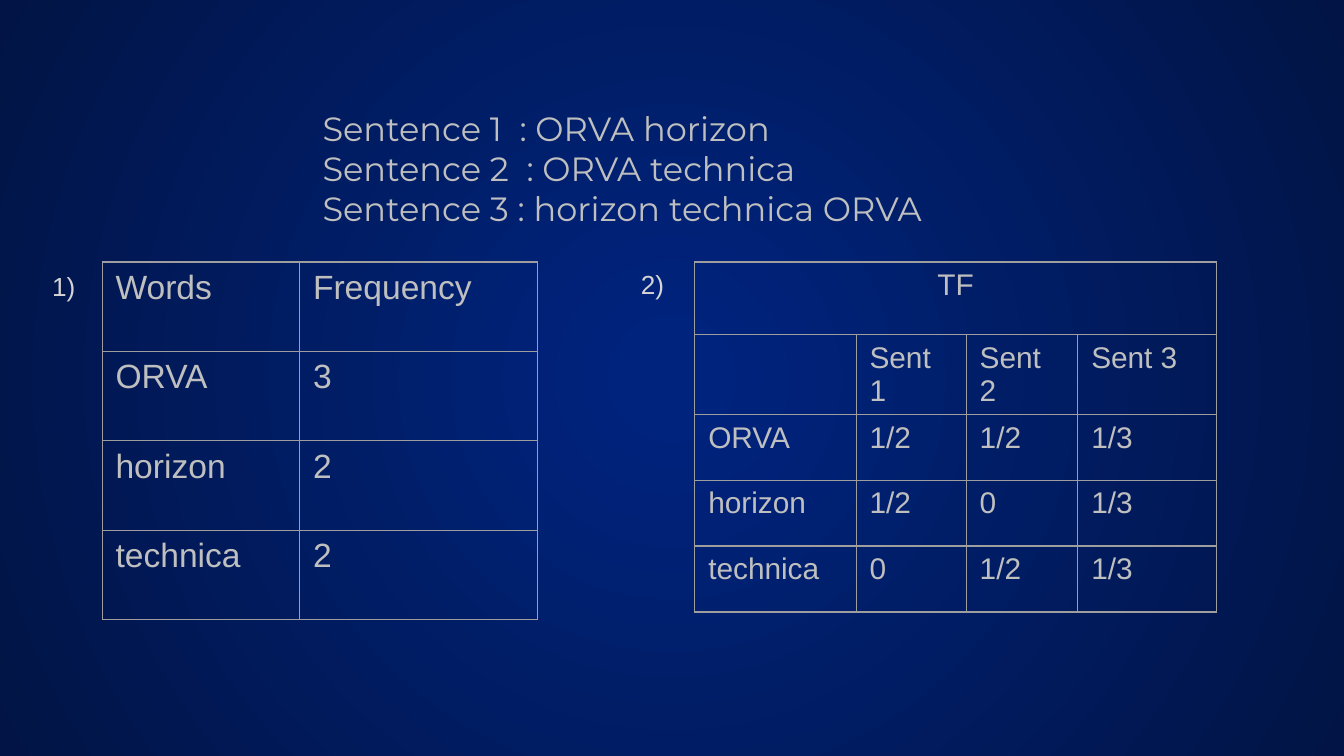
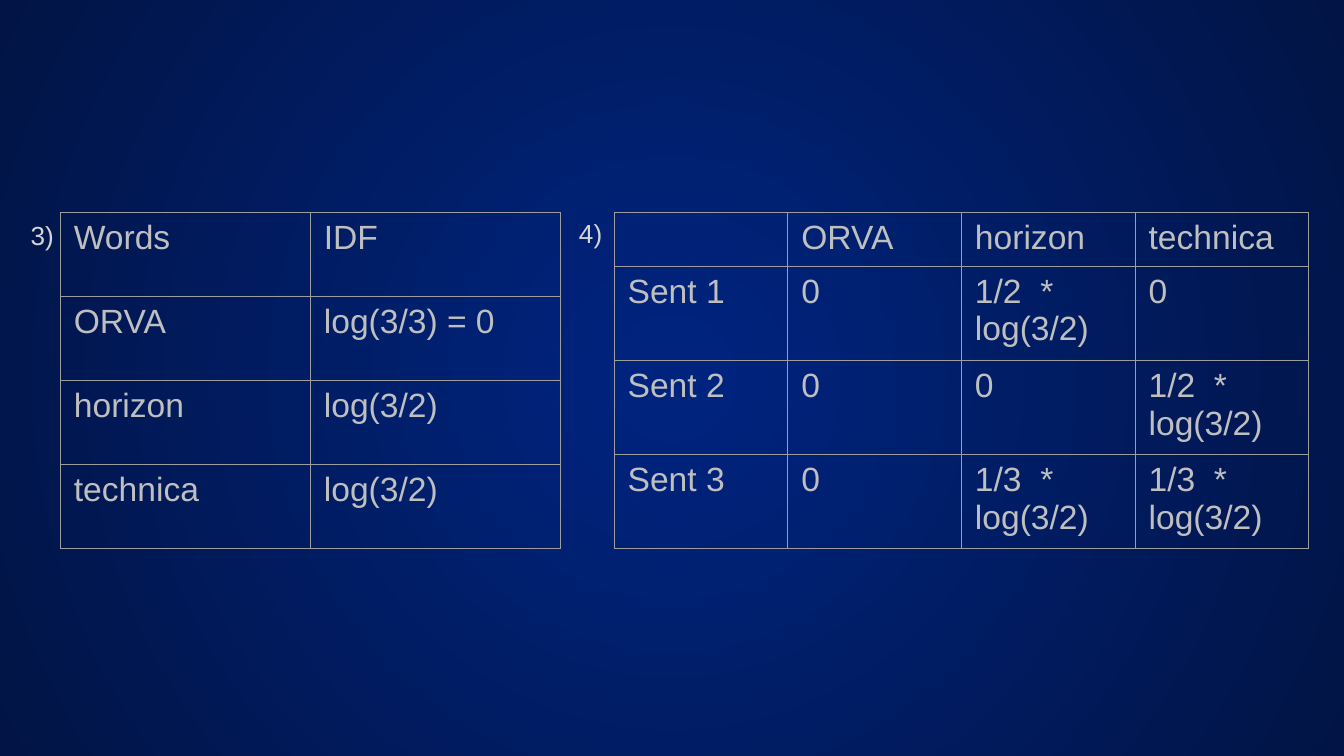
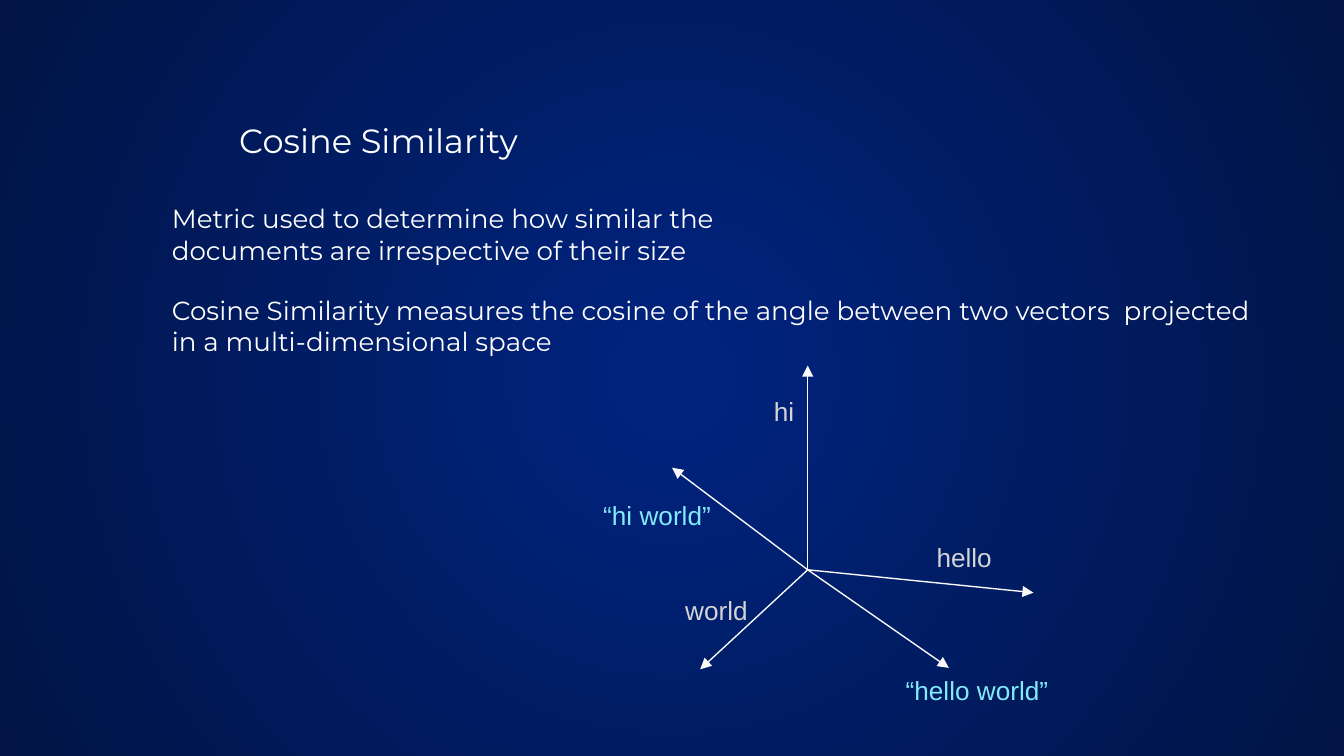
from pptx import Presentation
from pptx import util as u
from pptx.dml.color import RGBColor
from pptx.enum import shapes, text
from pptx.oxml import parse_xml
from pptx.oxml.ns import nsdecls, qn

# Shared style
BG_CENTRE = RGBColor(0x00, 0x23, 0x7D)
BG_EDGE = RGBColor(0x01, 0x14, 0x45)
WHITE = RGBColor(0xFF, 0xFF, 0xFF)
SILVER = RGBColor(0xBF, 0xBF, 0xBF)
LABEL = RGBColor(0xD4, 0xD4, 0xD4)
CYAN = RGBColor(0x82, 0xEA, 0xFA)
GRID = RGBColor(0x9E, 0x9E, 0x9E)
AXIS = RGBColor(0xF9, 0xF9, 0xF9)
SANS = "Arial"
HEADING = "Montserrat"
LINE_WIDTH = u.Pt(0.75)
TITLE_ONLY, BLANK = 5, 6


def set_background(master):
    """Give every slide the radial gradient through the master."""
    c_sld = master.element.cSld
    old = c_sld.find(qn("p:bg"))
    if old is not None:
        c_sld.remove(old)
    c_sld.insert(0, parse_xml(
        f'<p:bg {nsdecls("p", "a")}><p:bgPr><a:gradFill rotWithShape="1"><a:gsLst>'
        f'<a:gs pos="5000"><a:srgbClr val="{BG_CENTRE}"/></a:gs>'
        f'<a:gs pos="100000"><a:srgbClr val="{BG_EDGE}"/></a:gs></a:gsLst>'
        '<a:path path="circle"><a:fillToRect l="50000" t="50000" r="50000" b="50000"/>'
        '</a:path></a:gradFill><a:effectLst/></p:bgPr></p:bg>'))


def add_run(p, content, size, font, color):
    r = p.add_run()
    r.text = content
    r.font.size = u.Pt(size)
    r.font.name = font
    r.font.color.rgb = color


def add_text(shape_tree, content, left, top, width, height=0.34,
             size=14, font=SANS, color=LABEL):
    sp = shape_tree.add_textbox(*map(u.Inches, (left, top, width, height)))
    tf = sp.text_frame
    tf.word_wrap = True
    tf.auto_size = text.MSO_AUTO_SIZE.SHAPE_TO_FIT_TEXT
    add_run(tf.paragraphs[0], content, size, font, color)


def set_title(s, lines, left, top, width, height, color,
              anchor=text.MSO_ANCHOR.TOP, inset=0.05):
    sp = s.shapes.title
    sp.left, sp.top, sp.width, sp.height = map(u.Inches, (left, top, width, height))
    tf = sp.text_frame
    tf.word_wrap = True
    tf.auto_size = text.MSO_AUTO_SIZE.NONE
    tf.vertical_anchor = anchor
    tf.margin_top = tf.margin_bottom = u.Inches(inset)
    p = tf.paragraphs[0]
    p.alignment = text.PP_ALIGN.LEFT
    for i, line in enumerate(lines):
        if i:
            p.add_line_break()
        add_run(p, line, 18, HEADING, color)


def style_cell(cell):
    """No fill, thin grey line on all four sides."""
    cell.fill.background()
    tc_pr = cell._tc.get_or_add_tcPr()
    for i, side in enumerate(("lnL", "lnR", "lnT", "lnB")):
        tc_pr.insert(i, parse_xml(
            f'<a:{side} {nsdecls("a")} w="{LINE_WIDTH}"><a:solidFill>'
            f'<a:srgbClr val="{GRID}"/></a:solidFill></a:{side}>'))


def add_grid(s, rows, left, top, width, height,
             col_widths=None, row_heights=None, size=18):
    """Add a table; columns and rows share the space equally unless given."""
    col_widths = col_widths or [width / len(rows[0])] * len(rows[0])
    row_heights = row_heights or [height / len(rows)] * len(rows)
    frame = s.shapes.add_table(
        len(rows), len(col_widths), *map(u.Inches, (left, top, width, height)))
    table = frame.table
    table.first_row = table.horz_banding = False
    for col, col_width in zip(table.columns, col_widths):
        col.width = u.Inches(col_width)
    for row, row_height, values in zip(table.rows, row_heights, rows):
        row.height = u.Inches(row_height)
        for cell, value in zip(row.cells, values):
            style_cell(cell)
            if value:
                add_run(cell.text_frame.paragraphs[0], value, size, SANS, SILVER)
    frame.width, frame.height = u.Inches(width), u.Inches(height)
    return table


def add_arrow(shape_tree, start, end):
    line = shape_tree.add_connector(
        shapes.MSO_CONNECTOR.STRAIGHT, *map(u.Inches, (*start, *end)))
    line.line.color.rgb = AXIS
    line.line.width = LINE_WIDTH
    line.line._get_or_add_ln().append(
        parse_xml(f'<a:tailEnd {nsdecls("a")} type="triangle"/>'))
    line._element.spPr.append(parse_xml(f'<a:effectLst {nsdecls("a")}/>'))


def build_frequency_slide(prs):
    s = prs.slides.add_slide(prs.slide_layouts[TITLE_ONLY])
    set_title(s, ["Sentence 1  : ORVA horizon", "Sentence 2  : ORVA technica",
                  "Sentence 3 : horizon technica ORVA"],
              2.3, 0.56, 6.05, 1.24, SILVER, text.MSO_ANCHOR.BOTTOM, 0.1)

    # Word counts
    add_grid(s, [("Words", "Frequency"), ("ORVA", "3"), ("horizon", "2"),
                 ("technica", "2")], 0.76, 1.95, 3.23, 2.66, [1.47, 1.77])

    # Term frequency
    tf_table = add_grid(s, [
        ("TF", "", "", ""),
        ("", "Sent 1", "Sent 2", "Sent 3"),
        ("ORVA", "1/2", "1/2", "1/3"),
        ("horizon", "1/2", "0", "1/3"),
        ("technica", "0", "1/2", "1/3"),
    ], 5.17, 1.95, 3.88, 2.66, [1.2, 0.82, 0.83, 1.03], [0.54] + [0.49] * 4, size=16)
    heading = tf_table.cell(0, 0)
    heading.merge(tf_table.cell(0, 3))
    heading.text_frame.paragraphs[0].alignment = text.PP_ALIGN.CENTER

    add_text(s.shapes, "2)", 4.67, 1.95, 1)
    add_text(s.shapes, "1)", 0.29, 1.96, 1)


def build_idf_slide(prs):
    s = prs.slides.add_slide(prs.slide_layouts[BLANK])

    # Inverse document frequency
    add_grid(s, [("Words", "IDF"), ("ORVA", "log(3/3) = 0"),
                 ("horizon", "log(3/2)"), ("technica", "log(3/2)")],
             0.45, 1.58, 3.72, 2.5)

    # TF multiplied by IDF
    half, third = "1/2  * log(3/2)", "1/3  * log(3/2)"
    add_grid(s, [
        ("", "ORVA", "horizon", "technica"),
        ("Sent 1", "0", half, "0"),
        ("Sent 2", "0", "0", half),
        ("Sent 3", "0", third, third),
    ], 4.57, 1.58, 5.17, 2.5, row_heights=[0.37] + [0.61] * 3)

    add_text(s.shapes, "3)", 0.13, 1.58, 1)
    add_text(s.shapes, "4)", 4.21, 1.57, 1)


def build_cosine_slide(prs):
    s = prs.slides.add_slide(prs.slide_layouts[TITLE_ONLY])
    set_title(s, ["Cosine Similarity"], 1.68, 0.84, 2.55, 0.42, WHITE)
    for content, top, width in (
            ("Metric used to determine how similar the documents are "
             "irrespective of their size", 1.46, 4.28),
            ("Cosine Similarity measures the cosine of the angle between two "
             "vectors  projected in a multi-dimensional space", 2.14, 8.31)):
        add_text(s.shapes, content, 1.18, top, width, 0.57, font=HEADING, color=WHITE)

    # Vector diagram
    diagram = s.shapes.add_group_shape().shapes
    origin = (6.01, 4.24)
    for tip in ((6.01, 2.72), (7.69, 4.41), (5.21, 4.98), (5, 3.48), (7.06, 4.97)):
        add_arrow(diagram, origin, tip)
    for word, left, top, color in (
            ("hi", 5.66, 2.89, LABEL), ("hello", 6.87, 3.98, LABEL),
            ("world", 5, 4.37, LABEL), ("“hi world”", 4.39, 3.67, CYAN)):
        add_text(diagram, word, left, top, 1, color=color)
    add_text(s.shapes, "“hello world”", 6.64, 4.97, 1.45, color=CYAN)


def main():
    prs = Presentation()
    prs.slide_width = u.Inches(10)
    prs.slide_height = prs.slide_width * 9 // 16
    set_background(prs.slide_master)
    build_frequency_slide(prs)
    build_idf_slide(prs)
    build_cosine_slide(prs)
    prs.save("out.pptx")


if __name__ == "__main__":
    main()
